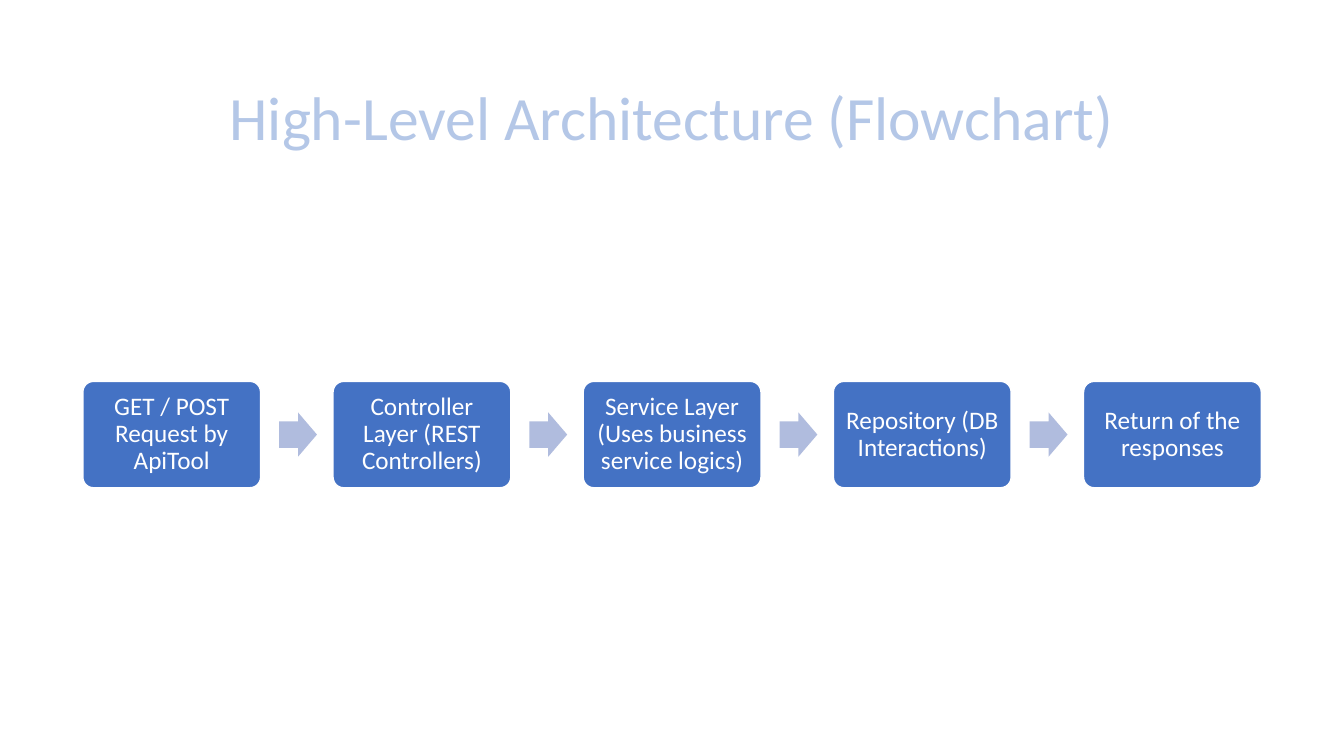
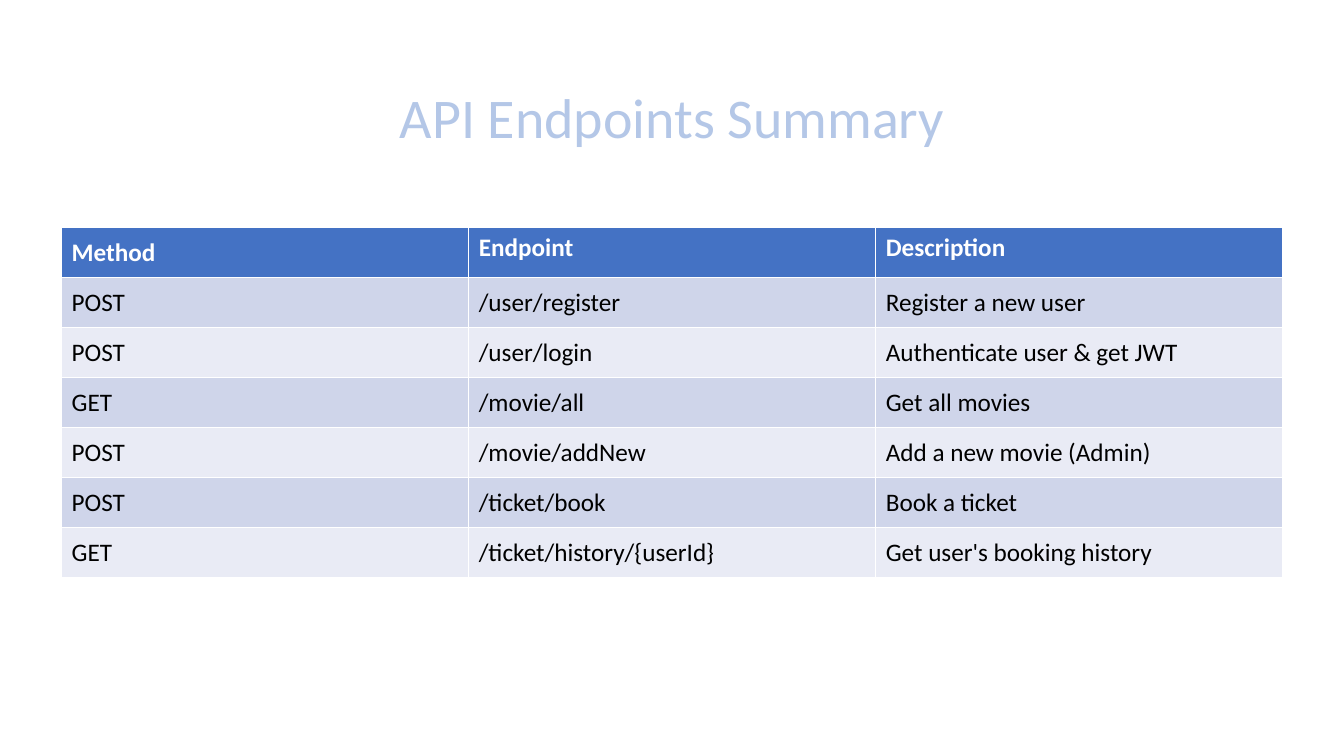
"""Build two slides: an architecture flowchart and a table of API endpoints."""
from pptx import Presentation
from pptx.dml.color import RGBColor
from pptx.enum.shapes import MSO_SHAPE
from pptx.enum.text import MSO_ANCHOR, MSO_AUTO_SIZE, PP_ALIGN
from pptx.util import Pt

INK = {
    "title": "B4C7E7",
    "blue": "4472C4",
    "arrow": "B0BCDE",
    "odd": "CFD5EA",
    "even": "E9EBF5",
    "white": "FFFFFF",
    "black": "000000",
}


def write(frame, text, size=18, color="white", bold=False, align=PP_ALIGN.LEFT,
          line=1.0, before=0):
    para = frame.paragraphs[0]
    para.alignment = align
    para.line_spacing = line
    para.space_before = Pt(before)
    run = para.add_run()
    run.text = text
    font = run.font
    font.name, font.size, font.bold = "Calibri", Pt(size), bold
    font.color.rgb = RGBColor.from_string(INK[color])


def paint(item, color):
    item.fill.solid()
    item.fill.fore_color.rgb = RGBColor.from_string(INK[color])


deck = Presentation()
deck.slide_width, deck.slide_height = Pt(960), Pt(540)

slides = []
for text, size in [("High-Level Architecture (Flowchart)", 44),
                   ("API Endpoints Summary", 40)]:
    slide = deck.slides.add_slide(deck.slide_layouts[5])
    title = slide.shapes.title
    title.left, title.top = Pt(66), Pt(28.75)
    title.width, title.height = Pt(828), Pt(104.4)
    frame = title.text_frame
    frame.auto_size = MSO_AUTO_SIZE.NONE
    frame.vertical_anchor = MSO_ANCHOR.MIDDLE
    write(frame, text, size=size, color="title", align=PP_ALIGN.CENTER,
          line=1.07, before=2)
    slides.append(slide)
flow, summary = slides

steps = [
    "GET / POST Request by ApiTool",
    "Controller Layer (REST Controllers)",
    "Service Layer (Uses business service logics)",
    "Repository (DB Interactions)",
    "Return of the responses",
]
left, pitch, middle = 59.2, 178.7, 310.4
box_w, box_h = 127, 76
tip_w, tip_h = 27, 31.6

for i, text in enumerate(steps):
    x = left + i * pitch
    box = flow.shapes.add_shape(MSO_SHAPE.ROUNDED_RECTANGLE, Pt(x),
                                Pt(middle - box_h / 2), Pt(box_w), Pt(box_h))
    box.adjustments[0] = 0.1
    box.shadow.inherit = False
    paint(box, "blue")
    box.line.color.rgb = RGBColor.from_string(INK["white"])
    box.line.width = Pt(1)
    frame = box.text_frame
    frame.word_wrap = True
    frame.vertical_anchor = MSO_ANCHOR.MIDDLE
    frame.margin_left = frame.margin_right = Pt(5)
    frame.margin_top = frame.margin_bottom = Pt(5)
    write(frame, text, align=PP_ALIGN.CENTER, line=0.9)

    if i < len(steps) - 1:
        tip = flow.shapes.add_shape(MSO_SHAPE.RIGHT_ARROW, Pt(x + 140.2),
                                    Pt(middle - tip_h / 2), Pt(tip_w), Pt(tip_h))
        tip.adjustments[0], tip.adjustments[1] = 0.6, 0.5
        tip.shadow.inherit = False
        paint(tip, "arrow")
        tip.line.fill.background()

rows = [
    ("Method", "Endpoint", "Description"),
    ("POST", "/user/register", "Register a new user"),
    ("POST", "/user/login", "Authenticate user & get JWT"),
    ("GET", "/movie/all", "Get all movies"),
    ("POST", "/movie/addNew", "Add a new movie (Admin)"),
    ("POST", "/ticket/book", "Book a ticket"),
    ("GET", "/ticket/history/{userId}", "Get user's booking history"),
]
row_h, col_w = 35.75, 290.8
table = summary.shapes.add_table(len(rows), 3, Pt(44), Pt(162.6), Pt(3 * col_w),
                                 Pt(len(rows) * row_h)).table
for col in table.columns:
    col.width = Pt(col_w)

for r, row in enumerate(rows):
    table.rows[r].height = Pt(row_h)
    head = r == 0
    for c, text in enumerate(row):
        cell = table.cell(r, c)
        paint(cell, "blue" if head else "odd" if r % 2 else "even")
        top = head and c > 0
        cell.vertical_anchor = MSO_ANCHOR.TOP if top else MSO_ANCHOR.MIDDLE
        write(cell.text_frame, text, color="white" if head else "black", bold=head)

deck.save("out.pptx")
